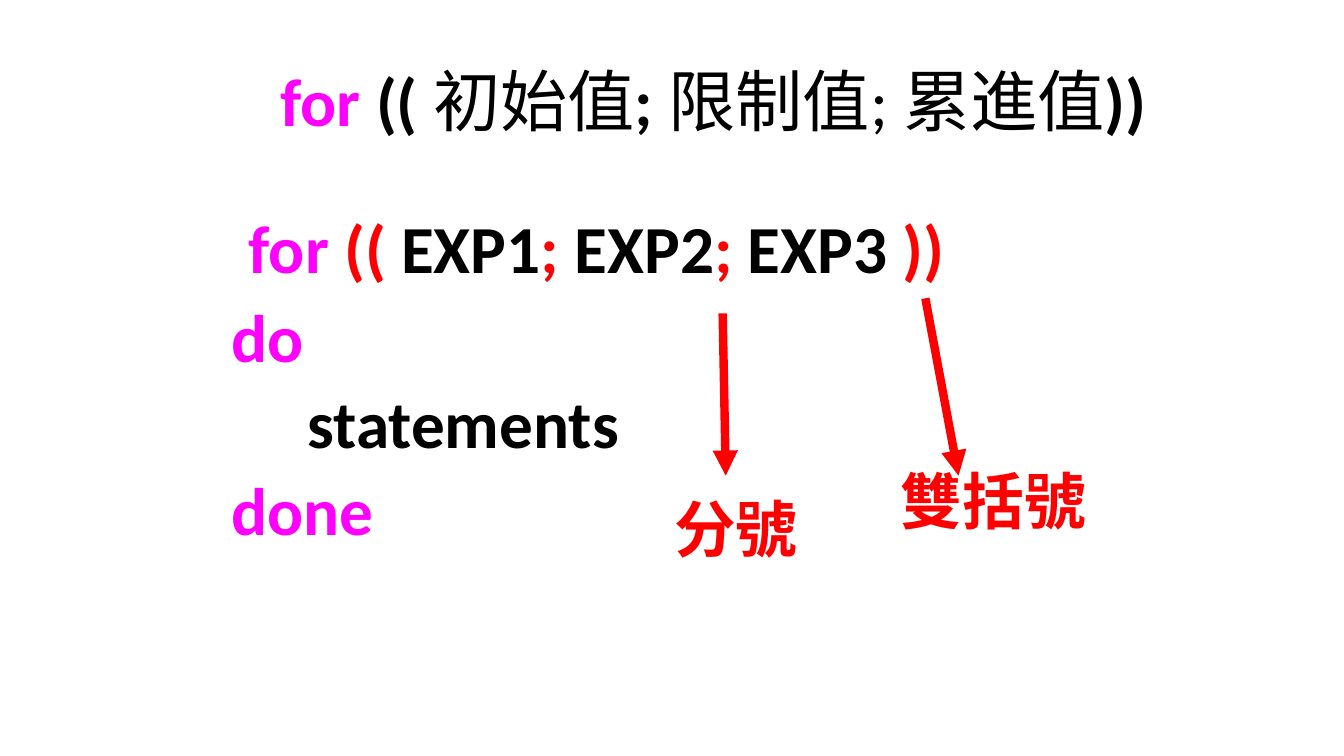
from dataclasses import dataclass
from lxml import etree
from pptx import Presentation
from pptx.dml.color import RGBColor
from pptx.enum import shapes, text
from pptx.oxml import ns
from pptx.util import Pt


@dataclass
class Theme:
    font: str = "Calibri"
    key: str = "FF00FF"
    ink: str = "000000"
    mark: str = "FF0000"
    code: int = 48
    lead: int = 54
    note: int = 44
    line: int = 6


look = Theme()

head = [("for", look.key, True), (" (( ", look.ink, True), ("初始值", look.ink, False),
        ("; ", look.ink, True), ("限制值; 累進值", look.ink, False), ("))", look.ink, True)]
loop = [
    [(" ", look.ink, True, look.lead), ("for ", look.key), ("(( ", look.mark),
     ("EXP1", look.ink), ("; ", look.mark), ("EXP2", look.ink), (";", look.mark),
     (" EXP3 ", look.ink), ("))", look.mark)],
    [("do", look.key)],
    [("     statements", look.ink)],
    [("done", look.key)],
]
notes = [
    ("雙括號", (636.5, 326.9, 169.9, 60.5), (661, 213.1, 684.7, 339.8)),
    ("分號", (474.5, 347, 118.8, 60.5), (516.2, 223.9, 518.4, 339.8)),
]
title_box = (147.6, 52.6, 724.3, 44.6)
loop_box = (158.4, 145.4, 653, 279.4)


def add_run(para, words, color, bold=True, size=look.code):
    run = para.add_run()
    run.text = words
    run.font.name = look.font
    run.font.size = Pt(size)
    run.font.bold = bold
    run.font.color.rgb = RGBColor.from_string(color)


def add_box(slide, box):
    frame = slide.shapes.add_textbox(*map(Pt, box)).text_frame
    frame.word_wrap = True
    return frame


def add_arrow(slide, ends):
    arrow = slide.shapes.add_connector(shapes.MSO_CONNECTOR.STRAIGHT, *map(Pt, ends))
    arrow.line.color.rgb = RGBColor.from_string(look.mark)
    arrow.line.width = Pt(look.line)
    etree.SubElement(arrow.line._get_or_add_ln(), ns.qn("a:tailEnd"), type="triangle")
    etree.SubElement(arrow._element.spPr, ns.qn("a:effectLst"))


def main():
    deck = Presentation()
    deck.slide_width, deck.slide_height = Pt(960), Pt(540)
    slide = deck.slides.add_slide(deck.slide_layouts[5])

    title = slide.shapes.title
    title.left, title.top, title.width, title.height = map(Pt, title_box)
    frame = title.text_frame
    frame.auto_size = text.MSO_AUTO_SIZE.NONE
    frame.vertical_anchor = text.MSO_ANCHOR.MIDDLE
    para = frame.paragraphs[0]
    para.alignment = text.PP_ALIGN.CENTER
    para.line_spacing = 0.9
    for part in head:
        add_run(para, *part)

    frame = add_box(slide, loop_box)
    for row, parts in enumerate(loop):
        para = frame.add_paragraph() if row else frame.paragraphs[0]
        para.line_spacing = 0.9
        para.space_before = Pt(10 if row else 0)
        for part in parts:
            add_run(para, *part)

    for words, box, ends in notes:
        add_arrow(slide, ends)
        add_run(add_box(slide, box).paragraphs[0], words, look.mark, size=look.note)

    deck.save("out.pptx")


if __name__ == "__main__":
    main()
